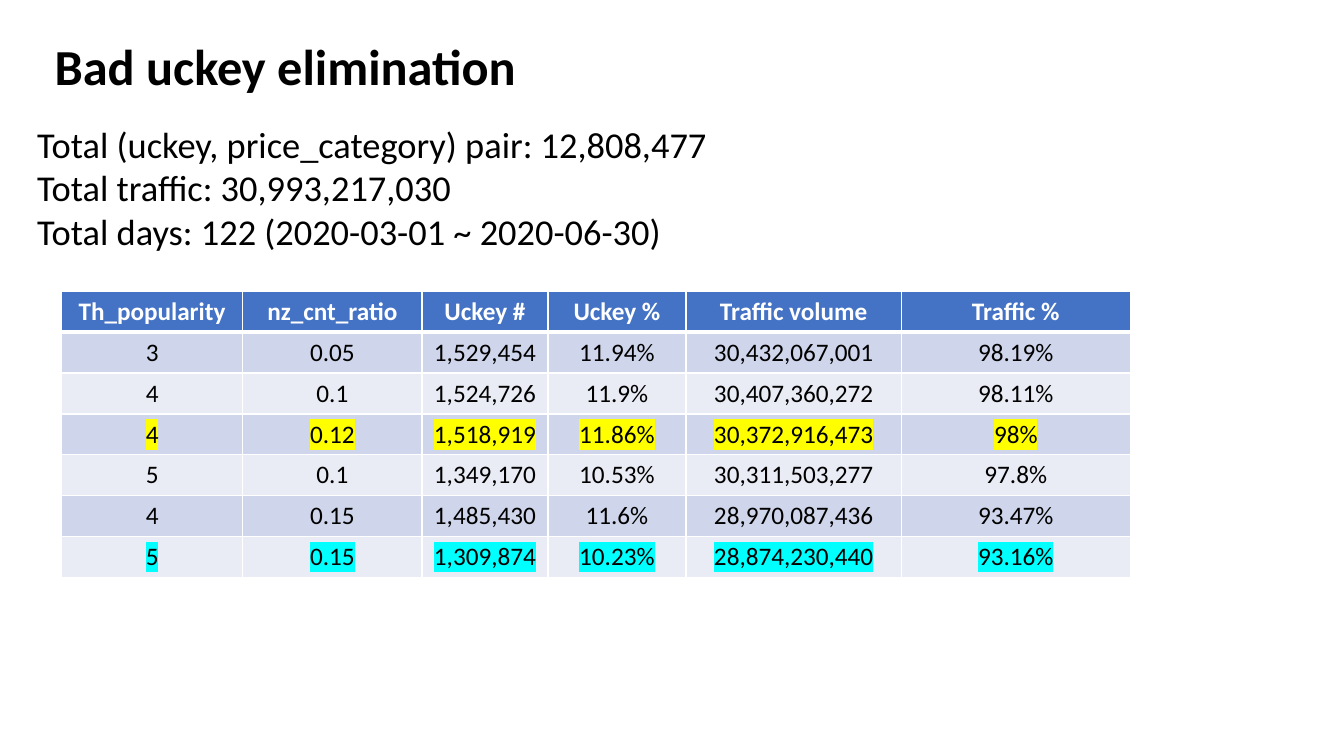
import pptx
import pptx.util
import pptx.dml.color
import pptx.enum.text
import pptx.oxml
import pptx.oxml.ns

Inches, Pt = pptx.util.Inches, pptx.util.Pt
RGBColor = pptx.dml.color.RGBColor
ALIGN = pptx.enum.text.PP_ALIGN

FONT = "Calibri"
BLACK = RGBColor(0x00, 0x00, 0x00)
WHITE = RGBColor(0xFF, 0xFF, 0xFF)
HEADER = RGBColor(0x44, 0x72, 0xC4)
BANDS = RGBColor(0xCF, 0xD5, 0xEA), RGBColor(0xE9, 0xEB, 0xF5)
YELLOW = RGBColor(0xFF, 0xFF, 0x00)
CYAN = RGBColor(0x00, 0xFF, 0xFF)

TITLE = "Bad uckey elimination"
TOTALS = [
    "Total (uckey, price_category) pair: 12,808,477",
    "Total traffic: 30,993,217,030",
    "Total days: 122 (2020-03-01 ~ 2020-06-30)",
]
COL_WIDTHS = [1.8, 1.78, 1.25, 1.37, 2.14, 2.27]
ROWS = [
    ["Th_popularity", "nz_cnt_ratio", "Uckey #", "Uckey %", "Traffic volume", "Traffic %"],
    ["3", "0.05", "1,529,454", "11.94%", "30,432,067,001", "98.19%"],
    ["4", "0.1", "1,524,726", "11.9%", "30,407,360,272", "98.11%"],
    ["4", "0.12", "1,518,919", "11.86%", "30,372,916,473", "98%"],
    ["5", "0.1", "1,349,170", "10.53%", "30,311,503,277", "97.8%"],
    ["4", "0.15", "1,485,430", "11.6%", "28,970,087,436", "93.47%"],
    ["5", "0.15", "1,309,874", "10.23%", "28,874,230,440", "93.16%"],
]
HIGHLIGHTS = {3: YELLOW, 6: CYAN}


def add_run(p, text, size, color=BLACK, bold=False, highlight=None):
    """Add one formatted run to a paragraph."""
    r = p.add_run()
    r.text = text
    r.font.size, r.font.bold, r.font.name = Pt(size), bold, FONT
    r.font.color.rgb = color
    if highlight is not None:
        fill = r.font._element.find(pptx.oxml.ns.qn("a:solidFill"))
        fill.addnext(pptx.oxml.parse_xml(
            f'<a:highlight {pptx.oxml.ns.nsdecls("a")}>'
            f'<a:srgbClr val="{highlight}"/></a:highlight>'))


def add_text(s, x, y, w, h, lines, size, align, bold=False):
    """Add a wrapped text box with one paragraph per line."""
    tf = s.shapes.add_textbox(Inches(x), Inches(y), Inches(w), Inches(h)).text_frame
    tf.word_wrap = True
    tf.auto_size = pptx.enum.text.MSO_AUTO_SIZE.SHAPE_TO_FIT_TEXT
    for i, line in enumerate(lines):
        p = tf.add_paragraph() if i else tf.paragraphs[0]
        p.alignment = align
        add_run(p, line, size, bold=bold)


def set_borders(cell, **widths):
    """Draw white cell borders, given in points for the sides L, R, T and B."""
    tcPr = cell._tc.get_or_add_tcPr()
    for i, (side, width) in enumerate(widths.items()):
        tcPr.insert(i, pptx.oxml.parse_xml(
            f'<a:ln{side} {pptx.oxml.ns.nsdecls("a")} w="{Pt(width)}">'
            f'<a:solidFill><a:srgbClr val="{WHITE}"/></a:solidFill></a:ln{side}>'))


def add_thresholds_table(s, x, y, w, h):
    """Add the banded table of thresholds with its highlighted rows."""
    table = s.shapes.add_table(len(ROWS), len(COL_WIDTHS), Inches(x), Inches(y),
                               Inches(w), Inches(h)).table
    for column, width in zip(table.columns, COL_WIDTHS):
        column.width = Inches(width * w / sum(COL_WIDTHS))
    for i, row in enumerate(ROWS):
        table.rows[i].height = Inches(h / len(ROWS))
        header = i == 0
        for j, text in enumerate(row):
            cell = table.cell(i, j)
            cell.fill.solid()
            cell.fill.fore_color.rgb = HEADER if header else BANDS[(i - 1) % 2]
            set_borders(cell, L=1, R=1, T=3 if i == 1 else 1, B=3 if header else 1)
            p = cell.text_frame.paragraphs[0]
            p.alignment = ALIGN.CENTER
            add_run(p, text, 18, WHITE if header else BLACK, header, HIGHLIGHTS.get(i))


def build_slide(prs):
    """Build the slide from its title, totals and table."""
    s = prs.slides.add_slide(prs.slide_layouts[6])
    add_text(s, 0.27, 0.3, 5.12, 0.71, [TITLE], 36, ALIGN.CENTER, bold=True)
    add_text(s, 0.27, 1.16, 8.39, 1.41, TOTALS, 26, ALIGN.JUSTIFY)
    add_thresholds_table(s, 0.61, 2.89, 10.6, 2.84)


prs = pptx.Presentation()
prs.slide_width, prs.slide_height = Inches(13.33), Inches(7.5)
build_slide(prs)
prs.save("out.pptx")
